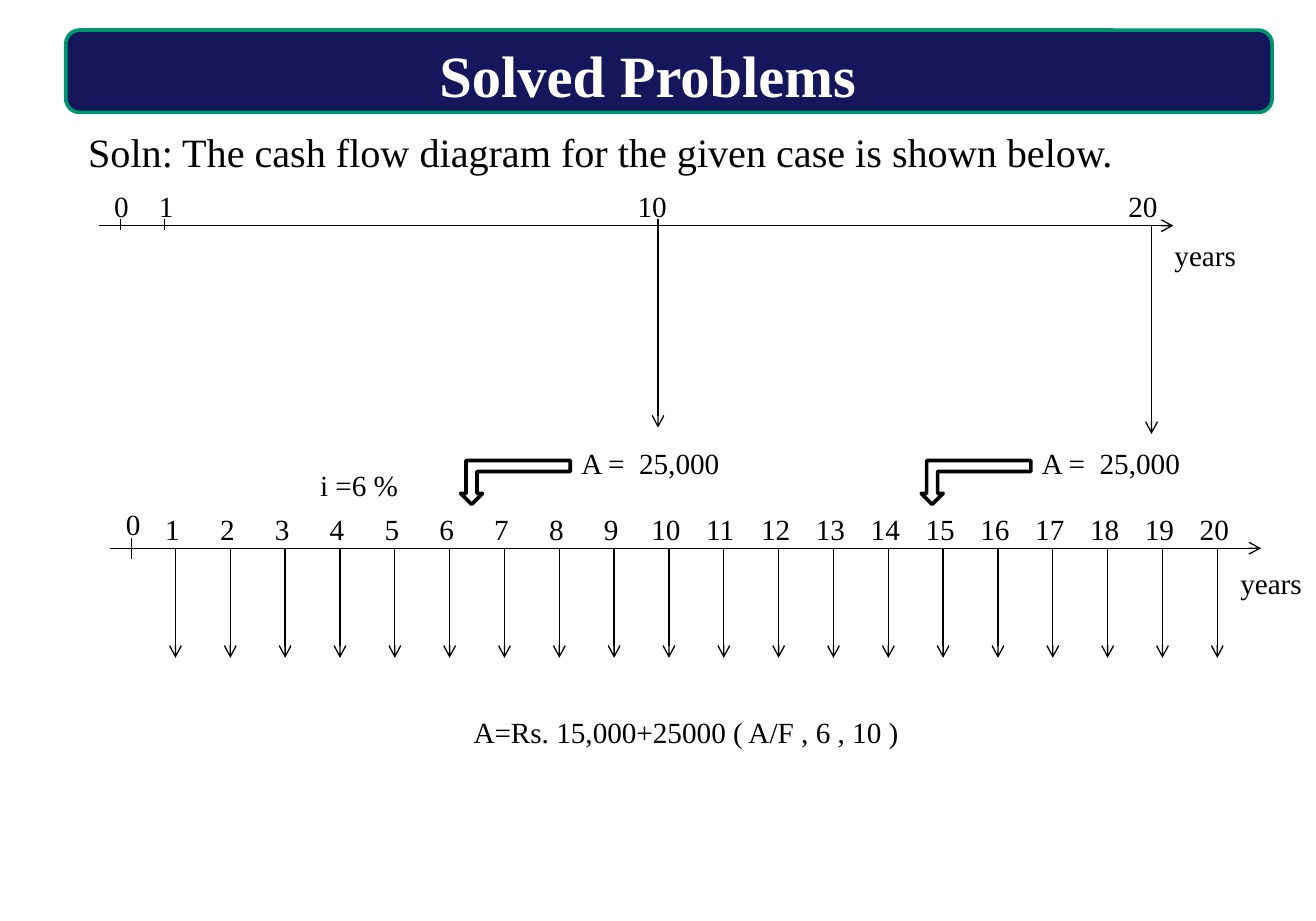
"""Build the cash flow diagram slide of the solved problem."""
from pptx import Presentation
from pptx.dml.color import RGBColor
from pptx.enum.shapes import MSO_CONNECTOR, MSO_SHAPE
from pptx.enum.text import MSO_ANCHOR, MSO_AUTO_SIZE, PP_ALIGN
from pptx.oxml.ns import qn
from pptx.util import Pt
from lxml.etree import SubElement

COLORS = {"navy": "16165D", "green": "00956F", "white": "FFFFFF", "black": "000000"}
FONT = "Times New Roman"
LABEL_HEIGHT = 26.5
BENT_ARROW = [(60, 6), (9, 6), (9, 18), (12, 18), (6, 24), (0, 18), (3, 18), (3, 0), (60, 0)]


def color(name):
    """Return the named colour."""
    return RGBColor.from_string(COLORS[name])


def place(shape, left, top, width, height):
    """Set the position and size of a shape."""
    shape.left, shape.top = Pt(left), Pt(top)
    shape.width, shape.height = Pt(width), Pt(height)


def paint(shape, fill, line):
    """Set the fill and the two-point outline of a shape."""
    shape.shadow.inherit = False
    shape.fill.solid()
    shape.fill.fore_color.rgb = color(fill)
    shape.line.color.rgb = color(line)
    shape.line.width = Pt(2)


def add_span(para, text, size, ink="black", bold=False):
    """Add a formatted run to a paragraph."""
    span = para.add_run()
    span.text = text
    span.font.name = FONT
    span.font.size = Pt(size)
    span.font.bold = bold
    span.font.color.rgb = color(ink)


def add_title(page, text):
    """Format the title and set its banner behind it."""
    title = page.shapes.title
    place(title, 50, 18, 609, 34)
    frame = title.text_frame
    frame.auto_size = MSO_AUTO_SIZE.NONE
    frame.vertical_anchor = MSO_ANCHOR.TOP
    para = frame.paragraphs[0]
    para.alignment = PP_ALIGN.CENTER
    add_span(para, text, 32, "white", True)
    banner = page.shapes.add_shape(
        MSO_SHAPE.ROUNDED_RECTANGLE, Pt(36), Pt(16.5), Pt(660), Pt(45))
    paint(banner, "navy", "green")
    title.element.addprevious(banner.element)


def add_label(page, text, left, top, width, size=16, height=LABEL_HEIGHT):
    """Add a one-line text box."""
    box = page.shapes.add_textbox(Pt(left), Pt(top), Pt(width), Pt(height))
    box.text_frame.word_wrap = True
    add_span(box.text_frame.paragraphs[0], text, size)


def add_year(page, year, center, top):
    """Add a year number centred over a point of a time line."""
    width = 16 + 8 * len(str(year))
    add_label(page, str(year), center - width / 2 + 0.8, top, width)


def add_line(page, start, end, arrow=True):
    """Add a thin line, with an arrowhead at its end if wanted."""
    line = page.shapes.add_connector(
        MSO_CONNECTOR.STRAIGHT, *(Pt(value) for value in (*start, *end)))
    line.line.color.rgb = color("black")
    line.line.width = Pt(0.75)
    properties = line.element.spPr
    if arrow:
        SubElement(properties.find(qn("a:ln")), qn("a:tailEnd"), type="arrow")
    SubElement(properties, qn("a:effectLst"))


def add_bent_arrow(page, left, top):
    """Add a block arrow that turns from left to down."""
    points = [(Pt(left + x), Pt(top + y)) for x, y in BENT_ARROW]
    builder = page.shapes.build_freeform(*points[0])
    builder.add_line_segments(points[1:], close=True)
    paint(builder.convert_to_shape(), "white", "black")


def add_ten_year_flow(page):
    """Draw the time line with a payment every ten years."""
    add_line(page, (54, 123.5), (642, 123.5))
    for year, center in ((0, 66.5), (1, 91), (10, 357), (20, 625.5)):
        add_year(page, year, center, 99.5)
    for tick in (66, 90):
        add_line(page, (tick, 120), (tick, 126), arrow=False)
    add_line(page, (360, 120), (360, 234))
    add_line(page, (630, 123.5), (630, 237.5))
    add_label(page, "years", 635.5, 126.5, 50)


def add_yearly_flow(page):
    """Draw the time line with a payment every year."""
    add_line(page, (60, 300), (690, 300))
    add_line(page, (72, 294.5), (72, 306), arrow=False)
    add_year(page, 0, 73, 273.5)
    for year in range(1, 21):
        center = 66 + 30 * year
        add_line(page, (center, 300), (center, 360))
        add_year(page, year, center - 1.5, 276.5)
    add_label(page, "years", 671.5, 306, 48.5)


def main():
    """Build and save the slide."""
    deck = Presentation()
    deck.slide_width, deck.slide_height = Pt(720), Pt(504)
    page = deck.slides.add_slide(deck.slide_layouts[5])
    add_title(page, "Solved Problems")
    add_label(page, "Soln: The cash flow diagram for the given case is shown below.",
              41.2, 66, 640, 22, 36)
    add_ten_year_flow(page)
    add_yearly_flow(page)
    for left in (252, 504):
        add_bent_arrow(page, left, 252)
        add_label(page, "A =  25,000", left + 59, 240, 103)
    add_label(page, "i =6 %", 168, 252, 70.5)
    add_label(page, "A=Rs. 15,000+25000 ( A/F , 6 , 10 )", 252, 387.5, 294)
    deck.save("out.pptx")


if __name__ == "__main__":
    main()
